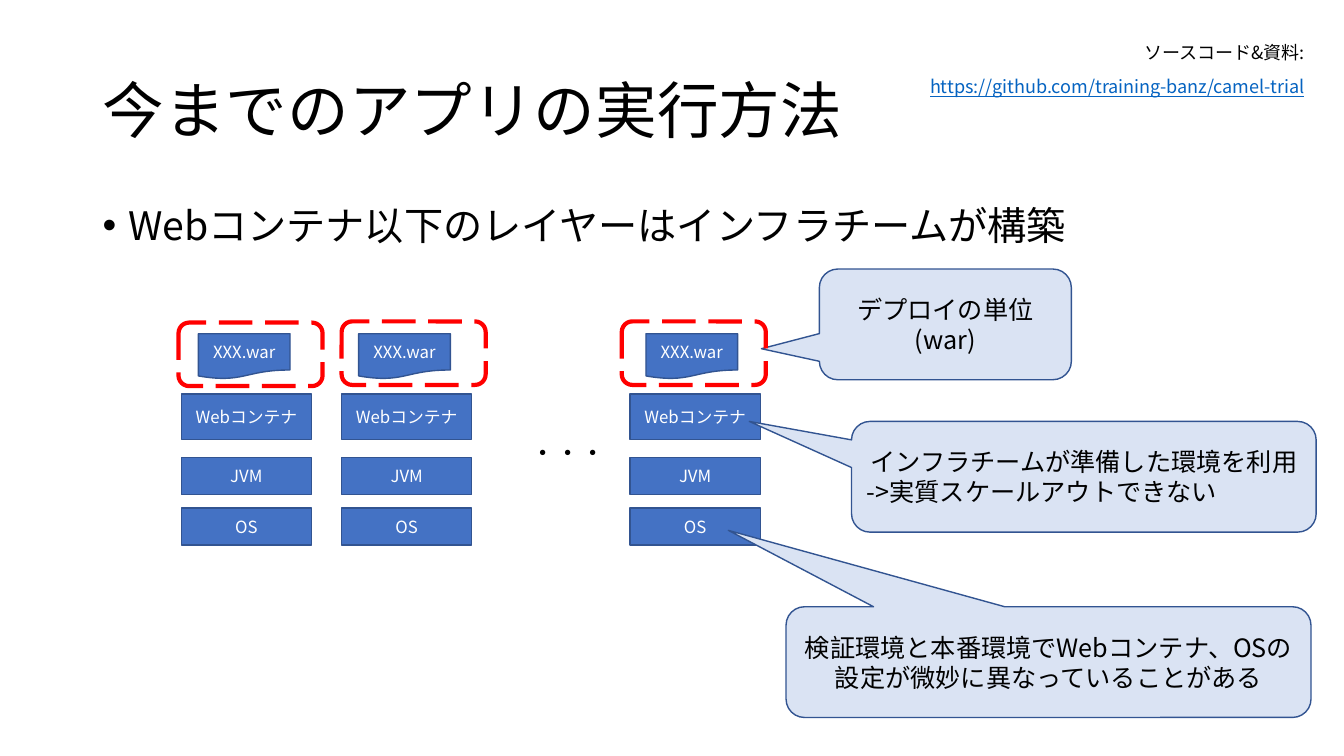
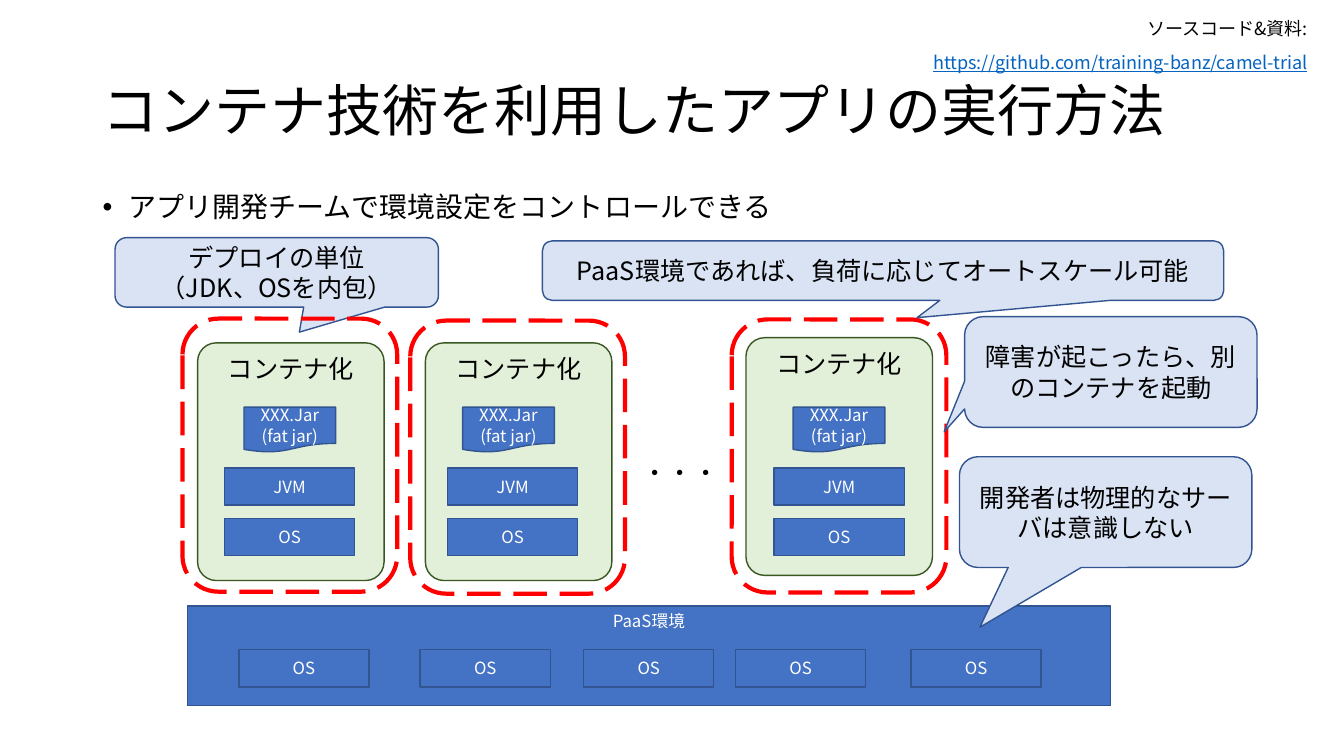
from lxml import etree
from pptx import Presentation
from pptx.dml.color import RGBColor
from pptx.enum.dml import MSO_LINE
from pptx.enum.shapes import MSO_SHAPE as Shape
from pptx.enum.text import MSO_ANCHOR as Anchor, PP_ALIGN as Align
from pptx.oxml.ns import qn
from pptx.util import Cm, Pt

# Shared style
FONT = "Noto Sans CJK JP"
BLACK, WHITE, LINK = "000000", "FFFFFF", "0563C1"
BLUE, BLUE_EDGE, PALE_BLUE = "4472C4", "325491", "DAE3F3"
GREEN, GREEN_EDGE, RED = "E2F0D9", "385723", "FF0000"
LAYER_WIDTH, LAYER_HEIGHT, WEB_HEIGHT = 3.28, 0.94, 1.14
FILE_SIZE = (2.31, 1.14)
CONTAINER_SIZE = (4.7, 5.99)
CALLOUT_HEIGHT = 2.79
SOURCE_LINES = ["ソースコード&資料:", "https://github.com/training-banz/camel-trial"]

# Content: layers are (text, top, height); callouts are
# (lines, box, tail adjustments, alignment of the last line); lengths in cm
SLIDES = [
    {
        "title": ("今までのアプリの実行方法", 44),
        "bullet": ("Webコンテナ以下のレイヤーはインフラチームが構築", 28, 5.08),
        "source": (22.4, 0.99),
        "layers": [("Webコンテナ", 9.93, WEB_HEIGHT), ("JVM", 11.53, LAYER_HEIGHT),
                   ("OS", 12.8, LAYER_HEIGHT)],
        "layer_lefts": [4.57, 8.61, 15.88],
        "file": (["XXX.war"], 8.41),
        "file_lefts": [5, 9.04, 16.28],
        "containers": [],
        "frames": [(4.5, 8.13), (8.61, 8.1), (15.67, 8.1)],
        "frame_size": (3.63, 1.6),
        "dots": (13.11, 10.9),
        "callouts": [
            (["デプロイの単位", "(war)"], (20.65, 6.78, 6.35, CALLOUT_HEIGHT),
             (-0.73, 0.22), Align.CENTER),
            (["インフラチームが準備した環境を利用", "->実質スケールアウトできない"],
             (21.46, 10.62, 11.71, CALLOUT_HEIGHT), (-0.72, -0.5), Align.LEFT),
            (["検証環境と本番環境でWebコンテナ、OSの設定が微妙に異なっていることがある"],
             (19.81, 15.29, 13.23, CALLOUT_HEIGHT), (-0.61, -1.19), Align.CENTER),
        ],
        "platform": None,
    },
    {
        "title": ("コンテナ技術を利用したアプリの実行方法", 40),
        "bullet": ("アプリ開発チームで環境設定をコントロールできる", 20, 4.75),
        "source": (22.48, 0.38),
        "layers": [("JVM", 11.79, LAYER_HEIGHT), ("OS", 13.06, LAYER_HEIGHT)],
        "layer_lefts": [5.66, 11.28, 19.51],
        "file": (["XXX.Jar", "(fat jar)"], 10.26),
        "file_lefts": [6.15, 11.66, 19.99],
        "containers": [(4.98, 8.64), (10.72, 8.64), (18.8, 8.51)],
        "frames": [(4.6, 8.03), (10.34, 8.08), (18.44, 8.05)],
        "frame_size": (5.41, 6.88),
        "dots": (15.95, 11.4),
        "callouts": [
            (["デプロイの単位", "（JDK、OSを内包）"], (2.9, 5.99, 8.15, 1.75),
             (0.07, 0.86), Align.CENTER),
            (["PaaS環境であれば、負荷に応じてオートスケール可能"], (13.67, 6.07, 17.17, 1.5),
             (0.05, 0.79), Align.CENTER),
            (["障害が起こったら、別のコンテナを起動"], (24.31, 7.98, 7.37, CALLOUT_HEIGHT),
             (-0.57, 0.54), Align.CENTER),
            (["開発者は物理的なサーバは意識しない"], (24.18, 11.51, 7.37, CALLOUT_HEIGHT),
             (-0.43, 1.04), Align.CENTER),
        ],
        "platform": ("PaaS環境", (4.72, 15.27, 23.27, 2.51),
                     [6.02, 10.59, 14.71, 18.54, 22.96], 16.37),
    },
]


def color(value):
    return RGBColor.from_string(value)


def write(shape, lines, size, text_color=BLACK, align=Align.LEFT, anchor=Anchor.TOP):
    """Fill a shape with one paragraph for each line."""
    frame = shape.text_frame
    frame.text = "\n".join(lines)
    frame.vertical_anchor = anchor
    for paragraph in frame.paragraphs:
        paragraph.alignment = align
        for run in paragraph.runs:
            run.font.size = Pt(size)
            run.font.name = FONT
            run.font.color.rgb = color(text_color)
            east_asian = etree.SubElement(run.font._element, qn("a:ea"))
            east_asian.set("typeface", FONT)
    return frame.paragraphs


def add_text(slide, box, lines, size, wrap=True, **style):
    shape = slide.shapes.add_textbox(*map(Cm, box))
    shape.text_frame.word_wrap = wrap
    return write(shape, lines, size, **style)


def add_box(slide, kind, box, fill, edge, edge_width=1):
    shape = slide.shapes.add_shape(kind, *map(Cm, box))
    shape.shadow.inherit = False
    if fill:
        shape.fill.solid()
        shape.fill.fore_color.rgb = color(fill)
    else:
        shape.fill.background()
    shape.line.color.rgb = color(edge)
    shape.line.width = Pt(edge_width)
    return shape


def add_block(slide, box, lines, kind=Shape.RECTANGLE, anchor=Anchor.MIDDLE):
    shape = add_box(slide, kind, box, BLUE, BLUE_EDGE)
    write(shape, lines, 12, WHITE, Align.CENTER, anchor)


def add_callout(slide, lines, box, tail, last_align):
    shape = add_box(slide, Shape.ROUNDED_RECTANGULAR_CALLOUT, box, PALE_BLUE, BLUE_EDGE)
    shape.adjustments[0], shape.adjustments[1] = tail
    paragraphs = write(shape, lines, 18, align=Align.CENTER, anchor=Anchor.MIDDLE)
    paragraphs[-1].alignment = last_align


def add_heading(slide, title, bullet, source):
    """Title, bullet line and the source address at the top right."""
    text, size = title
    heading = add_text(slide, (2.34, 1.02, 29.21, 3.68), [text], size, anchor=Anchor.MIDDLE)
    heading[0].line_spacing = 0.9

    text, size, top = bullet
    paragraph = add_text(slide, (2.34, top, 29.21, 12.09), [text], size)[0]
    properties = paragraph._p.get_or_add_pPr()
    properties.set("marL", str(Cm(0.64)))
    properties.set("indent", str(-Cm(0.64)))
    etree.SubElement(properties, qn("a:buFont")).set("typeface", "Arial")
    etree.SubElement(properties, qn("a:buChar")).set("char", "•")
    paragraph.line_spacing = 0.9

    label, address = add_text(slide, (*source, 10.72, 1.85), SOURCE_LINES, 12.9,
                              align=Align.RIGHT)
    label.line_spacing = address.line_spacing = 0.9
    address.space_before = Pt(10)
    address.runs[0].font.color.rgb = color(LINK)
    address.runs[0].font.underline = True


def build_slide(presentation, content):
    slide = presentation.slides.add_slide(presentation.slide_layouts[6])
    add_heading(slide, content["title"], content["bullet"], content["source"])

    # Containers behind the stacks
    for position in content["containers"]:
        shape = add_box(slide, Shape.ROUNDED_RECTANGLE, (*position, *CONTAINER_SIZE),
                        GREEN, GREEN_EDGE)
        shape.adjustments[0] = 0.1
        write(shape, ["コンテナ化"], 18, align=Align.CENTER)

    # Stacks: application file over its layers
    file_lines, file_top = content["file"]
    for layer_left, file_left in zip(content["layer_lefts"], content["file_lefts"]):
        for text, top, height in content["layers"]:
            add_block(slide, (layer_left, top, LAYER_WIDTH, height), [text])
        add_block(slide, (file_left, file_top, *FILE_SIZE), file_lines,
                  Shape.FLOWCHART_DOCUMENT)
    add_text(slide, (*content["dots"], 2.44, 1.02), ["・・・"], 18, wrap=False)

    # Platform with its servers
    if content["platform"]:
        text, box, server_lefts, server_top = content["platform"]
        add_block(slide, box, [text], anchor=Anchor.TOP)
        for left in server_lefts:
            add_block(slide, (left, server_top, LAYER_WIDTH, LAYER_HEIGHT), ["OS"])

    # The deployment callout lies under the dashed frames, the others above
    first_callout, *other_callouts = content["callouts"]
    add_callout(slide, *first_callout)
    for position in content["frames"]:
        frame = add_box(slide, Shape.ROUNDED_RECTANGLE,
                        (*position, *content["frame_size"]), None, RED, 3)
        frame.line.dash_style = MSO_LINE.LONG_DASH
    for callout in other_callouts:
        add_callout(slide, *callout)


def main():
    presentation = Presentation()
    presentation.slide_width = Cm(33.87)
    presentation.slide_height = Cm(19.05)
    for content in SLIDES:
        build_slide(presentation, content)
    presentation.save("out.pptx")


if __name__ == "__main__":
    main()
